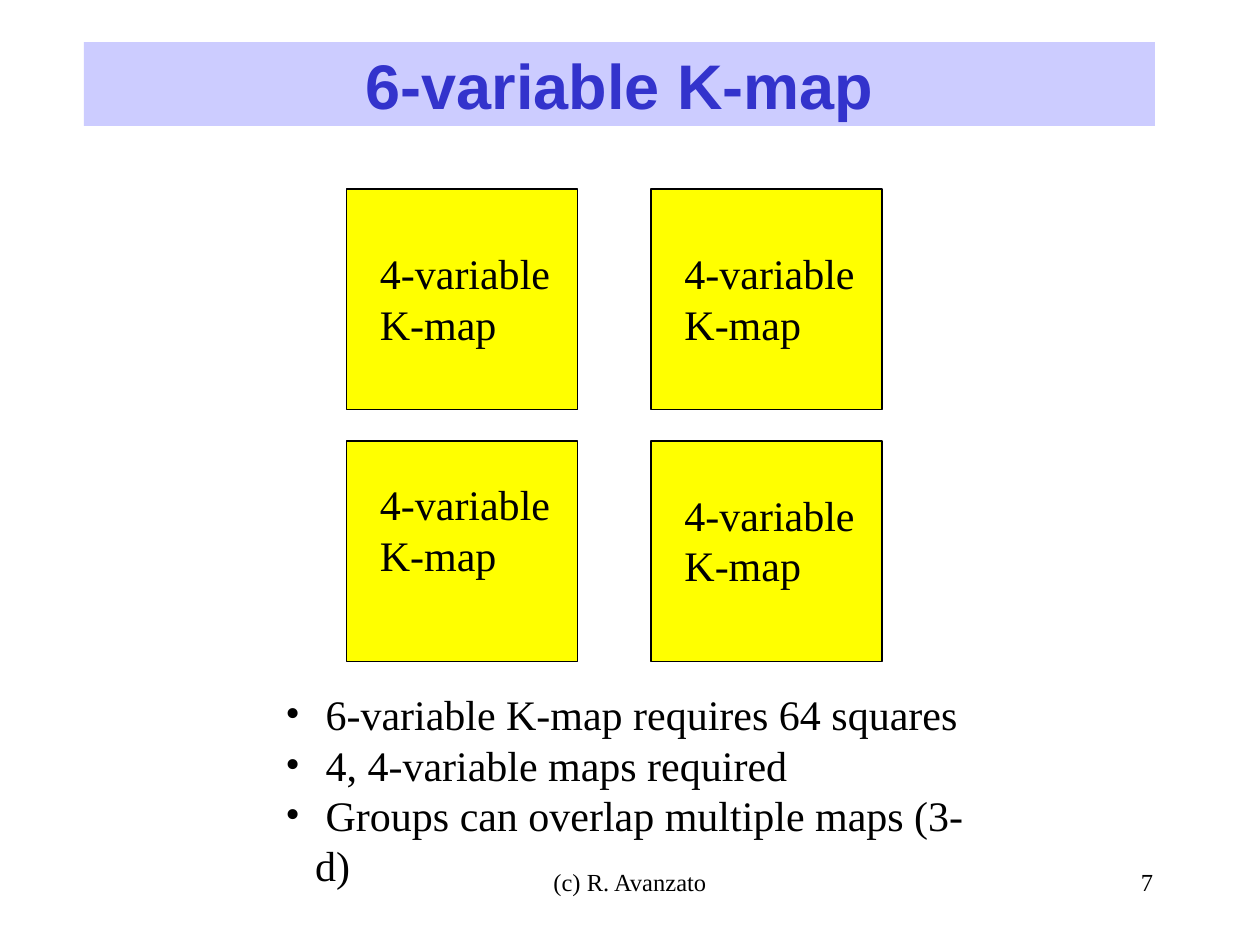
from pptx import Presentation
from pptx.dml.color import RGBColor
from pptx.enum import shapes, text
from pptx.oxml.ns import qn
from pptx.util import Pt
from lxml import etree

TITLE = "6-variable K-map"
LABEL = ["4-variable", "K-map"]
POINTS = [
    " 6-variable K-map requires 64 squares",
    " 4, 4-variable maps required",
    " Groups can overlap multiple maps (3-d)",
]
COLS, ROWS = (198, 372), (108, 252)
LABEL_TOPS = ((138, 138), (270, 276))  # one row of tops per row of maps
SERIF = "Times New Roman"
LEFT, MID, RIGHT = text.PP_ALIGN.LEFT, text.PP_ALIGN.CENTER, text.PP_ALIGN.RIGHT


def rgb(code):
    return RGBColor.from_string(code)


def rect(slide, box, fill, line=None):
    shape = slide.shapes.add_shape(shapes.MSO_SHAPE.RECTANGLE, *map(Pt, box))
    shape.shadow.inherit = False
    shape.fill.solid()
    shape.fill.fore_color.rgb = rgb(fill)
    if line:
        shape.line.color.rgb = rgb(line)
        shape.line.width = Pt(0.75)
    else:
        shape.line.fill.background()
    return shape


def write(frame, lines, size, align=LEFT, font=SERIF, color="000000",
          bold=False, pitch=None):
    for i, line in enumerate(lines):
        para = frame.add_paragraph() if i else frame.paragraphs[0]
        para.text = line
        para.alignment = align
        if pitch:
            para.line_spacing = Pt(pitch)
        para.font.size, para.font.name = Pt(size), font
        para.font.bold = bold
        para.font.color.rgb = rgb(color)


def note(slide, box, lines, size, wrap=True, **style):
    """Add a text box and return its frame."""
    frame = slide.shapes.add_textbox(*map(Pt, box)).text_frame
    frame.word_wrap = wrap
    write(frame, lines, size, **style)
    return frame


def bullet(para, hang):
    props = para._p.get_or_add_pPr()
    props.set("marL", str(Pt(hang)))
    props.set("indent", str(-Pt(hang)))
    etree.SubElement(props, qn("a:buFont")).set("typeface", SERIF)
    etree.SubElement(props, qn("a:buChar")).set("char", "•")
    # The schema wants defRPr after the bullet
    font = props.find(qn("a:defRPr"))
    if font is not None:
        props.append(font)


def main():
    deck = Presentation()
    deck.slide_width, deck.slide_height = Pt(720), Pt(540)
    slide = deck.slides.add_slide(deck.slide_layouts[6])

    frame = rect(slide, (48, 24, 612, 48), "CCCCFF").text_frame
    frame.vertical_anchor = text.MSO_ANCHOR.MIDDLE
    write(frame, [TITLE], 36, MID, "Arial", "3333CC", True)

    for top, tops in zip(ROWS, LABEL_TOPS):
        for left, y in zip(COLS, tops):
            rect(slide, (left, top, 132, 126), "FFFF00", "000000")
            note(slide, (left + 12, y, 111.6, 64.8), LABEL, 24,
                 wrap=False, pitch=28.8)

    frame = note(slide, (156, 390, 413.3, 93.6), POINTS, 24, pitch=28.8)
    for para in frame.paragraphs:
        bullet(para, 17)

    note(slide, (246, 492, 228, 36), ["(c) R. Avanzato"], 14, align=MID)
    note(slide, (516, 492, 150, 36), ["7"], 14, align=RIGHT)
    deck.save("out.pptx")


if __name__ == "__main__":
    main()
